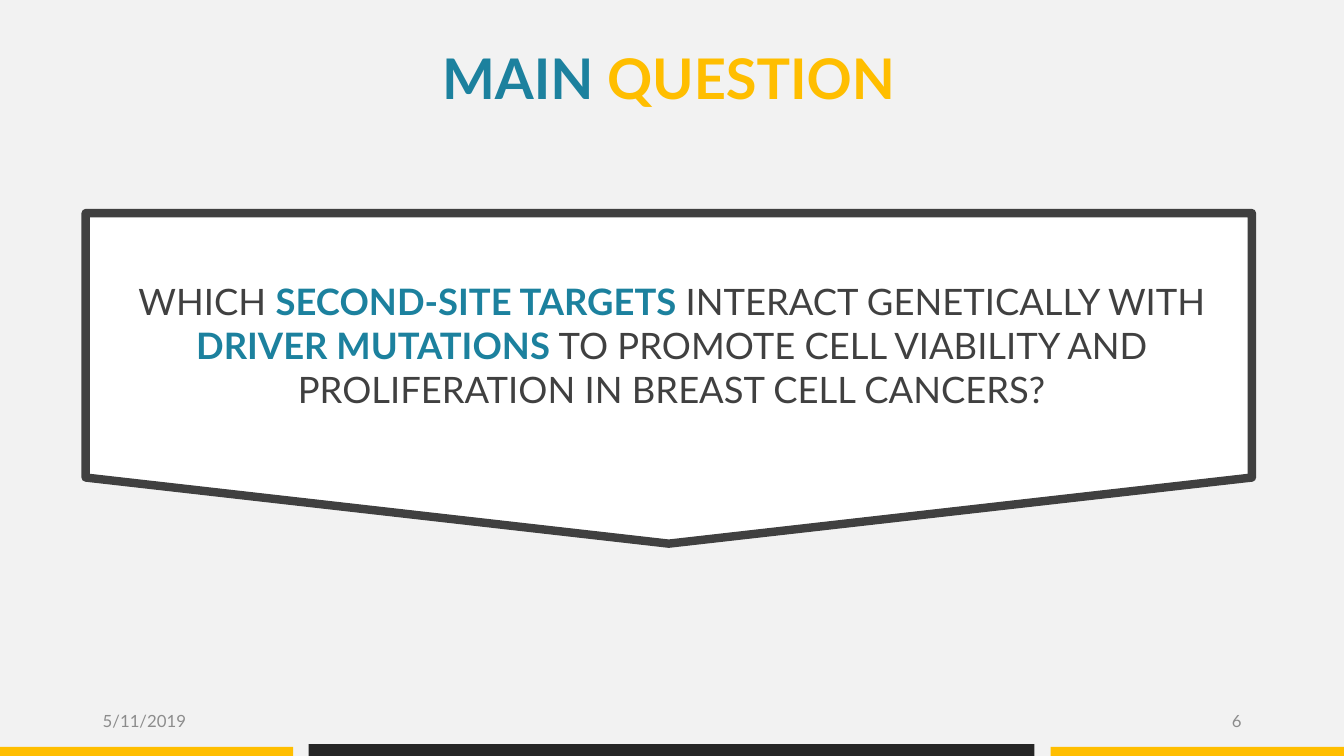
from pptx import Presentation
from pptx.dml.color import RGBColor
from pptx.enum.shapes import MSO_SHAPE as Shape
from pptx.enum.text import MSO_ANCHOR as Anchor, MSO_AUTO_SIZE as AutoSize, PP_ALIGN as Align
from pptx.util import Cm, Pt

FONT = "Lato"
TEAL, YELLOW = "1C819E", "FFBE00"
CHARCOAL, BLACK, GRAY = "404040", "262626", "8C8C8C"
WHITE, BACKDROP = "FFFFFF", "F2F2F2"


def paint(fill, color):
    fill.solid()
    fill.fore_color.rgb = RGBColor.from_string(color)


def add_panel(slide, kind, place, color, outline=None, weight=0):
    panel = slide.shapes.add_shape(kind, *map(Cm, place))
    panel.shadow.inherit = False
    paint(panel.fill, color)
    if outline:
        paint(panel.line.fill, outline)
        panel.line.width = Pt(weight)
    else:
        panel.line.fill.background()


def add_text(slide, place, size, pieces, align):
    frame = slide.shapes.add_textbox(*map(Cm, place)).text_frame
    frame.word_wrap = True
    paragraph = frame.paragraphs[0]
    paragraph.alignment = align
    for wording, color, bold in pieces:
        run = paragraph.add_run()
        run.text = wording
        run.font.name = FONT
        run.font.size = Pt(size)
        run.font.bold = bold
        paint(run.font.fill, color)
    return frame


def add_headline(slide, place, size, pieces):
    frame = add_text(slide, place, size, pieces, Align.CENTER)
    frame.margin_left = frame.margin_right = frame.margin_top = frame.margin_bottom = 0
    frame.auto_size = AutoSize.SHAPE_TO_FIT_TEXT


def add_footer(slide, left, wording, align):
    frame = add_text(slide, (left, 17.65, 7.62, 1.02), 12, [(wording, GRAY, False)], align)
    frame.vertical_anchor = Anchor.MIDDLE


def main():
    deck = Presentation()
    deck.slide_width, deck.slide_height = Cm(33.87), Cm(19.05)
    slide = deck.slides.add_slide(deck.slide_layouts[6])
    paint(slide.background.fill, BACKDROP)

    for left, top, width, color in (
        (0, 18.82, 7.39, YELLOW),
        (7.78, 18.75, 18.29, BLACK),
        (26.48, 18.82, 7.39, YELLOW),
    ):
        add_panel(slide, Shape.RECTANGLE, (left, top, width, 19.05 - top), color)

    add_footer(slide, 2.34, "5/11/2019", Align.LEFT)
    add_footer(slide, 23.92, "6", Align.RIGHT)

    add_panel(slide, Shape.FLOWCHART_OFFPAGE_CONNECTOR, (2.16, 5.37, 29.39, 8.33),
              WHITE, CHARCOAL, 6)
    add_headline(slide, (2.92, 7.04, 28.04, 3.33), 26, [
        ("WHICH ", CHARCOAL, False),
        ("SECOND-SITE TARGETS ", TEAL, True),
        ("INTERACT GENETICALLY WITH ", CHARCOAL, False),
        ("DRIVER MUTATIONS", TEAL, True),
        (" TO PROMOTE CELL VIABILITY AND PROLIFERATION IN BREAST CELL CANCERS?",
         CHARCOAL, False),
    ])
    add_headline(slide, (1.9, 1.09, 29.9, 1.7), 40, [
        ("MAIN", TEAL, True),
        (" QUESTION", YELLOW, True),
    ])

    deck.save("out.pptx")


if __name__ == "__main__":
    main()
